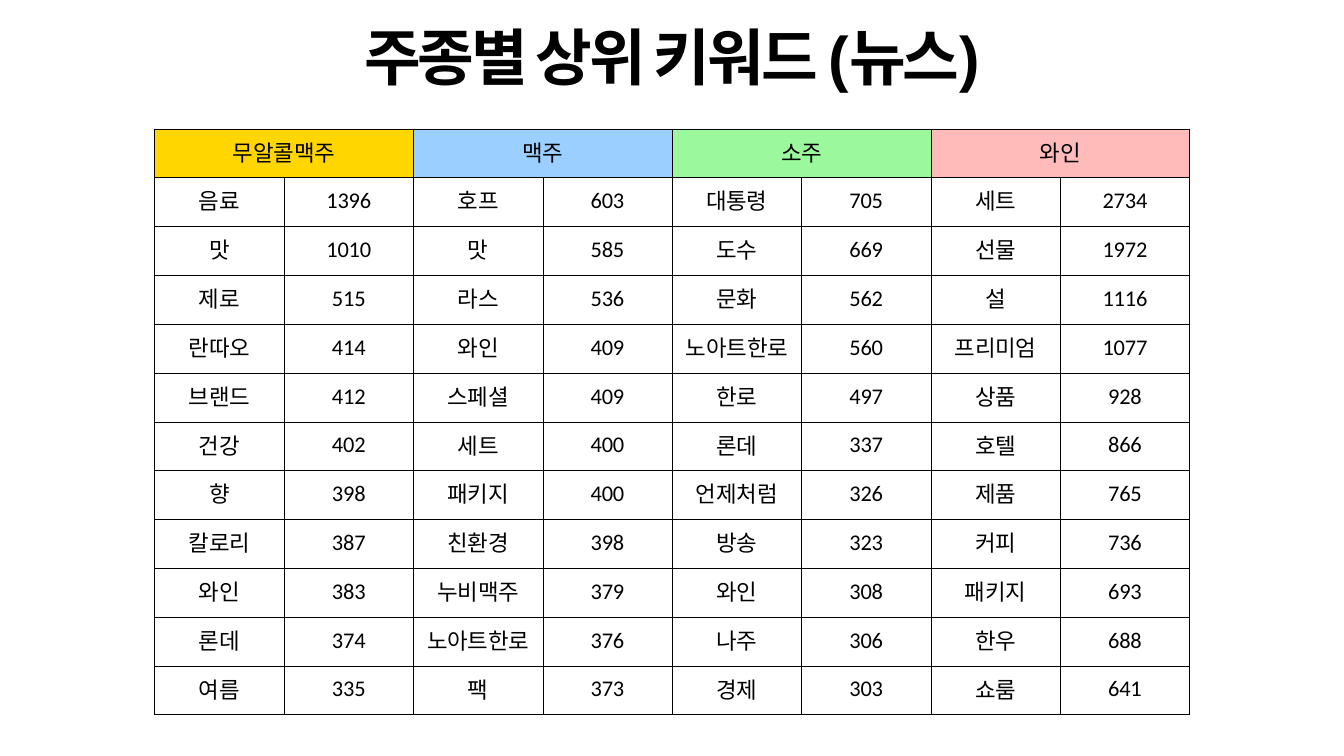
from dataclasses import dataclass

import lxml.etree
import pptx
import pptx.dml.color
import pptx.enum.text
import pptx.oxml.ns
import pptx.util

Cm = pptx.util.Cm
Pt = pptx.util.Pt


@dataclass(frozen=True)
class Theme:
    ink: str = "000000"
    paper: str = "FFFFFF"
    title_font: str = "Arial"
    title_size: int = 88
    title_tracking: float = -4.4
    table_font: str = "Calibri"
    table_size: int = 32
    table_tracking: float = -0.3
    line_spacing: float = 0.8
    space_before: int = 4
    border_width: int = 1


THEME = Theme()
INSET = Cm(0.15)
COLUMN_WIDTH = Cm(6.52)
ROW_HEIGHT = Cm(2.46)

KEYWORD_GROUPS = [
    ("무알콜맥주", "FFD600", [
        ("음료", 1396), ("맛", 1010), ("제로", 515), ("란따오", 414),
        ("브랜드", 412), ("건강", 402), ("향", 398), ("칼로리", 387),
        ("와인", 383), ("론데", 374), ("여름", 335),
    ]),
    ("맥주", "9BCFFF", [
        ("호프", 603), ("맛", 585), ("라스", 536), ("와인", 409),
        ("스페셜", 409), ("세트", 400), ("패키지", 400), ("친환경", 398),
        ("누비맥주", 379), ("노아트한로", 376), ("팩", 373),
    ]),
    ("소주", "9BF89C", [
        ("대통령", 705), ("도수", 669), ("문화", 562), ("노아트한로", 560),
        ("한로", 497), ("론데", 337), ("언제처럼", 326), ("방송", 323),
        ("와인", 308), ("나주", 306), ("경제", 303),
    ]),
    ("와인", "FFBBBA", [
        ("세트", 2734), ("선물", 1972), ("설", 1116), ("프리미엄", 1077),
        ("상품", 928), ("호텔", 866), ("제품", 765), ("커피", 736),
        ("패키지", 693), ("한우", 688), ("쇼룸", 641),
    ]),
]


def rgb(color):
    return pptx.dml.color.RGBColor.from_string(color)


def format_paragraph(paragraph, font, size, tracking, bold=False):
    paragraph.alignment = pptx.enum.text.PP_ALIGN.CENTER
    paragraph.line_spacing = THEME.line_spacing
    for run in paragraph.runs:
        run.font.name = font
        run.font.size = Pt(size)
        run.font.bold = bold
        run.font.color.rgb = rgb(THEME.ink)
        run._r.get_or_add_rPr().set("spc", str(round(tracking * 100)))


def set_insets(target):
    target.margin_left = target.margin_right = INSET
    target.margin_top = target.margin_bottom = INSET
    target.vertical_anchor = pptx.enum.text.MSO_ANCHOR.MIDDLE


def add_title(slide, text):
    title = slide.shapes.add_textbox(Cm(11.2), Cm(0.86), Cm(45.34), Cm(4.65))
    title.text_frame.word_wrap = True
    set_insets(title.text_frame)
    title.text_frame.text = text
    format_paragraph(title.text_frame.paragraphs[0], THEME.title_font,
                     THEME.title_size, THEME.title_tracking, bold=True)


def add_borders(cell):
    qualified = pptx.oxml.ns.qn
    properties = cell._tc.get_or_add_tcPr()
    for side in ("lnL", "lnR", "lnT", "lnB"):
        line = lxml.etree.SubElement(properties, qualified(f"a:{side}"),
                                     w=str(Pt(THEME.border_width)))
        fill = lxml.etree.SubElement(line, qualified("a:solidFill"))
        lxml.etree.SubElement(fill, qualified("a:srgbClr"), val=THEME.ink)


def style_cell(cell, color):
    set_insets(cell)
    add_borders(cell)
    cell.fill.solid()
    cell.fill.fore_color.rgb = rgb(color)


def write_cell(cell, text):
    cell.text_frame.text = text
    paragraph = cell.text_frame.paragraphs[0]
    paragraph.space_before = Pt(THEME.space_before)
    format_paragraph(paragraph, THEME.table_font, THEME.table_size,
                     THEME.table_tracking)


def add_keyword_table(slide, groups):
    row_count = 1 + len(groups[0][2])
    column_count = 2 * len(groups)
    table = slide.shapes.add_table(
        row_count, column_count, Cm(7.8), Cm(6.5),
        COLUMN_WIDTH * column_count, ROW_HEIGHT * row_count).table
    table.first_row = False
    table.horz_banding = False
    for column in table.columns:
        column.width = COLUMN_WIDTH
    for row in table.rows:
        row.height = ROW_HEIGHT

    for group_index, (name, color, keywords) in enumerate(groups):
        left = 2 * group_index
        heading = table.cell(0, left)
        heading.merge(table.cell(0, left + 1))
        write_cell(heading, name)
        for offset in range(2):
            style_cell(table.cell(0, left + offset), color)
        for row_index, entry in enumerate(keywords, start=1):
            for offset, value in enumerate(entry):
                cell = table.cell(row_index, left + offset)
                style_cell(cell, THEME.paper)
                write_cell(cell, str(value))


def main():
    presentation = pptx.Presentation()
    presentation.slide_width = Cm(67.74)
    presentation.slide_height = Cm(38.1)
    slide = presentation.slides.add_slide(presentation.slide_layouts[6])
    add_keyword_table(slide, KEYWORD_GROUPS)
    add_title(slide, "주종별 상위 키워드 (뉴스)")
    presentation.save("out.pptx")


if __name__ == "__main__":
    main()
